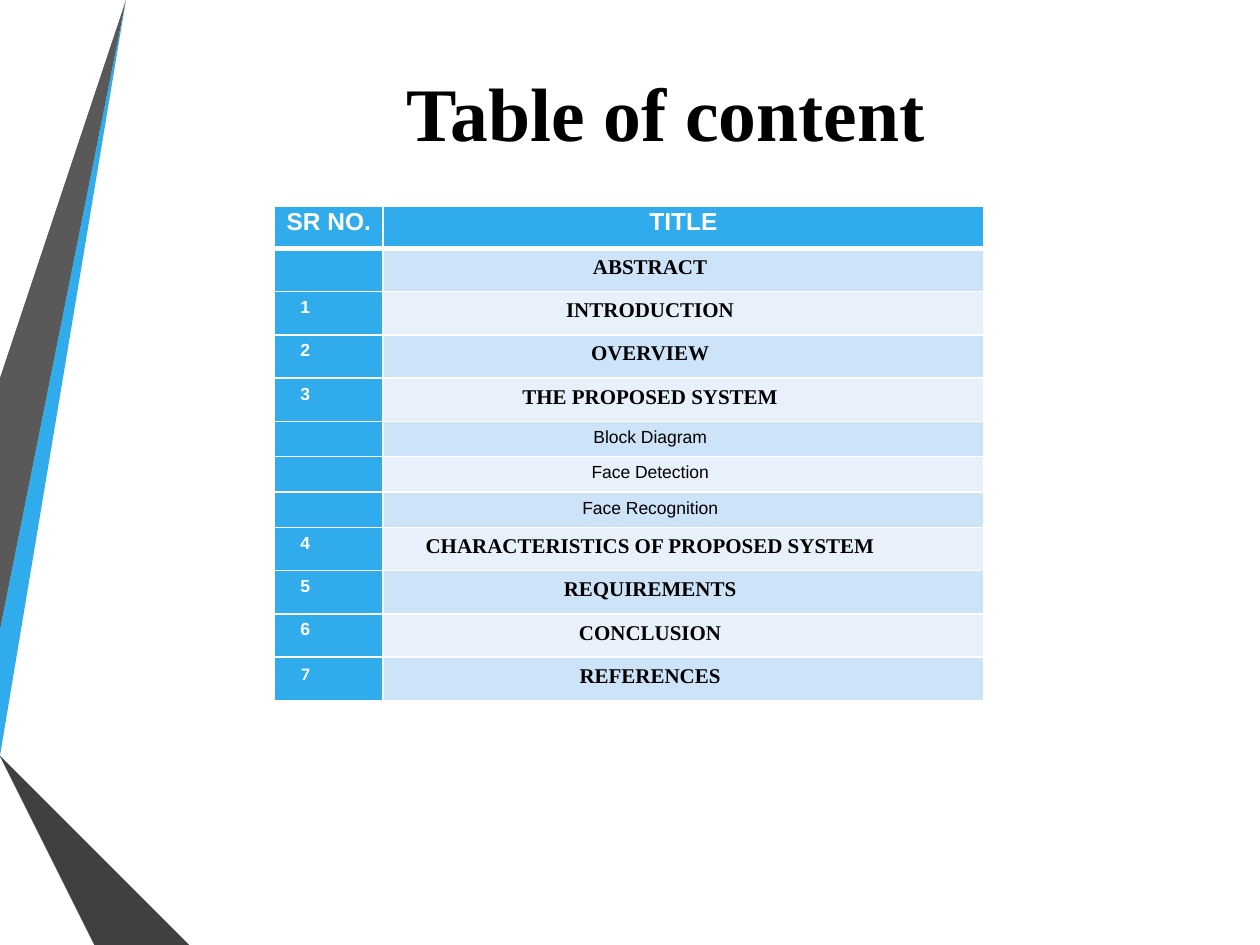
import pptx
import pptx.dml.color
import pptx.enum.text
import pptx.oxml
import pptx.oxml.ns
import pptx.util
from pptx.util import Inches

ALIGN = pptx.enum.text.PP_ALIGN
ACCENT = "30ACEC"
BANDS = ("CDE3F8", "E8F1FB")
SERIF = "Times New Roman"
SIDE_INDENT = 0.53

HEADER = dict(name="Arial", size=14, bold=True, color="FFFFFF")
NUMBER = dict(name="Arial", size=10, bold=True, color="FFFFFF")
CHAPTER = dict(name=SERIF, size=12, bold=True, color="000000")
SECTION = dict(name="Arial", size=10, bold=False, color="000000")
TITLE = dict(name=SERIF, size=43.2, bold=True, color="000000")

RIBBONS = [
    (ACCENT, [(0, 5.44), (0, 5.75), (0.22, 5.79), (1.17, 0), (0.89, 0)]),
    ("595959", [(0.83, 0), (0.55, 0), (0, 3.36), (0, 5.06)]),
    ("262626", [(0, 6.19), (0, 6.21), (0.93, 7.5), (0.99, 7.5)]),
    ("0C5A82", [(0, 5.79), (0, 5.8), (1.56, 7.5), (1.63, 7.5)]),
    ("1287C3", [(0, 5.79), (1.63, 7.5), (2.33, 7.5), (0.22, 5.79), (0, 5.75)]),
    ("404040", [(0, 6.19), (0.99, 7.5), (1.51, 7.5), (0, 5.86)]),
]

CONTENTS = [
    ("", "ABSTRACT", CHAPTER),
    ("1", "INTRODUCTION", CHAPTER),
    ("2", "OVERVIEW", CHAPTER),
    ("3", "THE PROPOSED SYSTEM", CHAPTER),
    ("", "Block Diagram", SECTION),
    ("", "Face Detection", SECTION),
    ("", "Face Recognition", SECTION),
    ("4", "CHARACTERISTICS OF PROPOSED SYSTEM", CHAPTER),
    ("5", "REQUIREMENTS", CHAPTER),
    ("6", "CONCLUSION", CHAPTER),
    ("7", "REFERENCES", CHAPTER),
]


def set_color(color_format, value):
    color_format.rgb = pptx.dml.color.RGBColor.from_string(value)


def fill_solid(fill, value):
    fill.solid()
    set_color(fill.fore_color, value)


def write_text(paragraph, text, formats, alignment):
    paragraph.alignment = alignment
    run = paragraph.add_run()
    run.text = text
    for attribute, value in formats.items():
        if attribute == "color":
            set_color(run.font.color, value)
        else:
            value = pptx.util.Pt(value) if attribute == "size" else value
            setattr(run.font, attribute, value)


def add_ribbon(slide, color, points):
    builder = slide.shapes.build_freeform(*points[0], scale=Inches(1))
    builder.add_line_segments(points[1:], close=True)
    shape = builder.convert_to_shape()
    shape.shadow.inherit = False
    fill_solid(shape.fill, color)
    shape.line.fill.background()


def add_title(slide, text):
    shape = slide.shapes.add_textbox(Inches(1.07), Inches(0.5), Inches(8.43), Inches(0.76))
    frame = shape.text_frame
    frame.word_wrap = True
    frame.vertical_anchor = pptx.enum.text.MSO_ANCHOR.MIDDLE
    write_text(frame.paragraphs[0], text, TITLE, ALIGN.CENTER)


def set_borders(cell, widths):
    properties = cell._tc.get_or_add_tcPr()
    for side, width in widths.items():
        properties.append(pptx.oxml.parse_xml(
            f'<a:ln{side} {pptx.oxml.ns.nsdecls("a")} w="{pptx.util.Pt(width)}">'
            f'<a:solidFill><a:srgbClr val="FFFFFF"/></a:solidFill></a:ln{side}>'))


def format_cell(cell, color, top=1, bottom=1):
    set_borders(cell, dict(L=1, R=1, T=top, B=bottom))
    fill_solid(cell.fill, color)
    margins = dict(margin_left=0.05, margin_right=0.05, margin_top=0, margin_bottom=0)
    for attribute, value in margins.items():
        setattr(cell, attribute, Inches(value))


def write_cell(cell, text, formats, alignment, spacing, indent=0):
    paragraph = cell.text_frame.paragraphs[0]
    paragraph.line_spacing = spacing
    if text:
        paragraph._p.get_or_add_pPr().set("marR", str(Inches(indent)))
        write_text(paragraph, text, formats, alignment)
    else:
        size = formats["size"] * 100
        paragraph._p.append(pptx.oxml.parse_xml(
            f'<a:endParaRPr {pptx.oxml.ns.nsdecls("a")} sz="{size}"/>'))


def add_contents_table(slide):
    height, header_height, section_height = 3.92, 0.33, 0.28
    sections = sum(style is SECTION for _, _, style in CONTENTS)
    chapter_height = (height - header_height - sections * section_height) / (len(CONTENTS) - sections)
    table = slide.shapes.add_table(len(CONTENTS) + 1, 2, Inches(2.18), Inches(1.64),
                                   Inches(5.63), Inches(height)).table
    for column, width in zip(table.columns, (0.86, 4.77)):
        column.width = Inches(width)

    table.rows[0].height = Inches(header_height)
    for cell, text in zip(table.rows[0].cells, ("SR NO.", "TITLE")):
        format_cell(cell, ACCENT, bottom=3)
        write_cell(cell, text, HEADER, ALIGN.CENTER, 1.07)

    for index, (number, heading, style) in enumerate(CONTENTS):
        row = table.rows[index + 1]
        row.height = Inches(section_height if style is SECTION else chapter_height)
        number_cell, heading_cell = row.cells
        top = 3 if index == 0 else 1
        format_cell(number_cell, ACCENT, top)
        format_cell(heading_cell, BANDS[index % 2], top)
        number_style = NUMBER | {"name": "Calibri"} if number == "7" else NUMBER
        write_cell(number_cell, number, number_style, ALIGN.RIGHT, 1.32, SIDE_INDENT)
        write_cell(heading_cell, heading, style, ALIGN.CENTER, 1.32, SIDE_INDENT)


def main():
    presentation = pptx.Presentation()
    presentation.slide_width = Inches(10)
    presentation.slide_height = Inches(7.5)
    slide = presentation.slides.add_slide(presentation.slide_layouts[6])
    fill_solid(slide.background.fill, "FFFFFF")
    for color, points in RIBBONS:
        add_ribbon(slide, color, points)
    add_contents_table(slide)
    add_title(slide, "Table of content")
    presentation.save("out.pptx")


if __name__ == "__main__":
    main()
